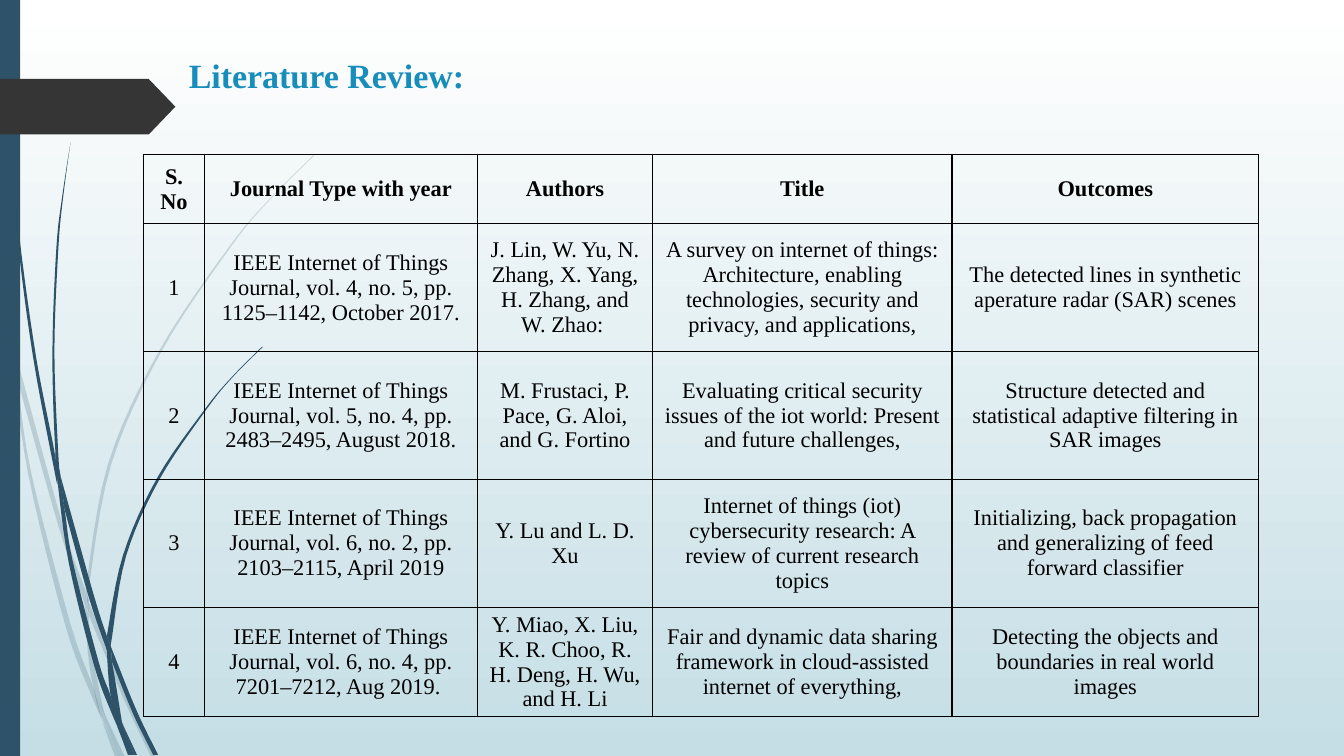
from pptx import Presentation
from pptx.util import Cm, Pt
from pptx.dml.color import RGBColor as RGB
from pptx.enum.shapes import MSO_SHAPE as SHAPE
from pptx.enum.text import MSO_ANCHOR as ANCHOR, PP_ALIGN as ALIGN
from pptx.oxml import parse_xml
from pptx.oxml.ns import nsdecls
from lxml.etree import SubElement

# Content
TITLE = "Literature Review:"
ROWS = [
    ("S. No", "Journal Type with year", "Authors", "Title", "Outcomes"),
    ("1", "IEEE Internet of Things Journal, vol. 4, no. 5, pp. 1125–1142, October 2017.",
     "J. Lin, W. Yu, N. Zhang, X. Yang, H. Zhang, and W. Zhao: ",
     "A survey on internet of things: Architecture, enabling technologies, security and "
     "privacy, and applications,",
     "The detected lines in synthetic aperature radar (SAR) scenes"),
    ("2", "IEEE Internet of Things Journal, vol. 5, no. 4, pp. 2483–2495, August 2018.",
     "M. Frustaci, P. Pace, G. Aloi, and G. Fortino",
     "Evaluating critical security issues of the iot world: Present and future challenges,",
     "Structure detected and statistical adaptive filtering in SAR images"),
    ("3", "IEEE Internet of Things Journal, vol. 6, no. 2, pp. 2103–2115, April 2019",
     "Y. Lu and L. D. Xu",
     "Internet of things (iot) cybersecurity research: A review of current research topics",
     "Initializing, back propagation and generalizing of feed forward classifier"),
    ("4", "IEEE Internet of Things Journal, vol. 6, no. 4, pp. 7201–7212, Aug 2019. ",
     "Y. Miao, X. Liu, K. R. Choo, R. H. Deng, H. Wu, and H. Li",
     "Fair and dynamic data sharing framework in cloud-assisted internet of everything,",
     "Detecting the objects and boundaries in real world images"),
]

# Grass blade pieces: two edges each, in inches, one running out and one running back
PALE_BLADES = [
    ([(.11, 3.5), (.09, 3.22), (0, 2.82)], [(0, 2.99), (.1, 3.44), (.11, 3.5)]),
    ([(.14, 3.45), (.62, 5.2), (.85, 5.86)], [(.84, 5.99), (.58, 5.22), (.17, 3.76)]),
    ([(.88, 5.96), (.92, 6.07), (1.27, 6.92), (1.55, 7.51)],
     [(1.5, 7.51), (1.23, 6.94), (.88, 6.1)]),
    ([(1.05, 7.11), (1.24, 7.51)], [(1.19, 7.51), (1.05, 7.11)]),
    ([(.11, 3.5), (.17, 3.76), (.31, 4.69), (.7, 6.19), (.93, 6.83), (1.01, 7.14)],
     [(.92, 6.93), (.65, 6.21), (.28, 4.7), (.11, 3.5)]),
    ([(.84, 5.99), (.87, 6.46), (.93, 6.83), (1.05, 7.11)],
     [(1.03, 7.06), (.91, 6.46), (.88, 6.1)]),
    ([(3.12, 1.53), (2.68, 1.97), (2.28, 2.44), (1.58, 3.48), (1.07, 4.61), (.85, 5.84)],
     [(.88, 5.96), (.88, 5.84), (1.1, 4.62), (1.6, 3.49), (2.29, 2.45), (2.68, 1.98),
      (3.12, 1.54)]),
    ([(1.01, 7.14), (1.14, 7.51)], [(1.19, 7.51), (1.01, 7.14)]),
    ([(.88, 6.1), (.88, 5.96), (.85, 5.86)], [(.84, 5.99), (.88, 6.08)]),
    ([(.93, 6.83), (.99, 7.07), (1.19, 7.51)], [(1.19, 7.51), (1.05, 7.11), (.96, 6.92)]),
]
DARK_BLADES = [
    ([(.04, 0), (.05, .48), (.08, 1.09), (.19, 2.32), (.36, 3.55), (.55, 4.53), (.57, 4.81)],
     [(.56, 4.77), (.33, 3.55), (.17, 2.33), (.07, 1.1), (.04, .48), (.03, 0)]),
    ([(.6, 4.72), (.93, 5.9), (1.06, 6.31)], [(1.06, 6.45), (.88, 5.92), (.64, 5.05)]),
    ([(1.1, 6.41), (1.13, 6.49), (1.36, 7.06), (1.57, 7.49)],
     [(1.52, 7.49), (1.32, 7.08), (1.11, 6.56)]),
    ([(.57, 4.77), (.64, 5.05), (.72, 5.56), (.98, 6.57), (1.1, 6.91), (1.17, 7.22)],
     [(1.11, 7.08), (.93, 6.59), (.68, 5.57), (.57, 4.77)]),
    ([(.7, 1.41), (.62, 1.93), (.56, 2.45), (.52, 3.49), (.55, 4.49), (.6, 4.72)],
     [(.6, 4.72), (.58, 4.53), (.54, 3.49), (.58, 2.45), (.63, 1.93), (.7, 1.41)]),
    ([(1.22, 7.19), (1.36, 7.49)], [(1.33, 7.49), (1.22, 7.19)]),
    ([(.55, 4.49), (.6, 4.72), (.64, 5.05)], [(.57, 4.77), (.55, 4.53)]),
    ([(2.6, 3.44), (2.31, 3.73), (2.04, 4.05), (1.56, 4.74), (1.22, 5.51), (1.06, 6.31)],
     [(1.1, 6.41), (1.11, 6.33), (1.25, 5.52), (1.58, 4.76), (2.05, 4.06), (2.31, 3.74),
      (2.61, 3.44)]),
    ([(1.17, 7.22), (1.27, 7.49)], [(1.31, 7.49), (1.17, 7.22)]),
    ([(1.06, 6.45), (1.1, 6.91), (1.22, 7.19)], [(1.21, 7.16), (1.11, 6.56), (1.06, 6.45)]),
    ([(1.06, 6.45), (1.11, 6.56)], [(1.1, 6.41), (1.06, 6.31)]),
    ([(1.1, 6.91), (1.17, 7.22), (1.3, 7.49)], [(1.33, 7.49), (1.22, 7.19), (1.1, 6.91)]),
]

# Theme and layout, lengths in centimetres
THEME = dict(font="Times New Roman", title="178DBB", text="000000", blade="2E5369",
             tag="353535", sky=("FFFFFF", "C5DEE5"), title_pt=24.3, cell_pt=16)
SLIDE_W, SLIDE_H = 33.87, 19.05
BAR = (0, 0, 0.51, SLIDE_H)
TAG = (0, 1.99, 4.42, 1.4)
TITLE_BOX = (4.51, 1.24, 9.22, 2.21)
TABLE_AT = (3.62, 3.89)
COLS = (1.53, 6.88, 4.42, 7.54, 7.73)
HEIGHTS = (1.75, 3.22, 3.22, 3.22, 2.49)


def smooth(pts, steps=6):
    """Points of a Catmull-Rom curve through pts."""
    ends = [pts[0], *pts, pts[-1]]
    out = []
    for a, b, c, d in zip(ends, ends[1:], ends[2:], ends[3:]):
        for t in (i / steps for i in range(steps)):
            out.append(tuple(
                (2 * q + (r - p) * t + (2 * p - 5 * q + 4 * r - s) * t ** 2
                 + (3 * q - p - 3 * r + s) * t ** 3) / 2
                for p, q, r, s in zip(a, b, c, d)))
    return out + [pts[-1]]


def paint(s, color, alpha=None):
    s.shadow.inherit = False
    s.fill.solid()
    s.fill.fore_color.rgb = RGB.from_string(color)
    s.line.fill.background()
    if alpha:
        clr = s._element.spPr.find(".//{*}srgbClr")
        SubElement(clr, clr.tag.replace("srgbClr", "alpha"), val=str(alpha * 1000))


def write(tf, text, size, color, bold, align):
    p = tf.paragraphs[0]
    p.alignment = align
    r = p.add_run()
    r.text = text
    fmt = dict(name=THEME["font"], size=Pt(size), bold=bold)
    for key, value in fmt.items():
        setattr(r.font, key, value)
    r.font.color.rgb = RGB.from_string(color)


def add_blade(shapes, edges, alpha):
    out, back = edges
    pts = [(Cm(2.54 * x), Cm(2.54 * y)) for x, y in smooth(out) + smooth(back)]
    fb = shapes.build_freeform(*pts[0], scale=1.0)
    fb.add_line_segments(pts[1:], close=True)
    paint(fb.convert_to_shape(), THEME["blade"], alpha)


def add_borders(cell):
    tcPr = cell._tc.get_or_add_tcPr()
    for i, side in enumerate(("lnL", "lnR", "lnT", "lnB")):
        tcPr.insert(i, parse_xml(
            f'<a:{side} {nsdecls("a")} w="{Pt(1)}"><a:solidFill>'
            f'<a:srgbClr val="{THEME["text"]}"/></a:solidFill></a:{side}>'))


def add_review_table(shapes):
    size = [Cm(sum(COLS)), Cm(sum(HEIGHTS))]
    table = shapes.add_table(len(ROWS), len(COLS), *map(Cm, TABLE_AT), *size).table
    table.first_row = table.horz_banding = False
    for col, width in zip(table.columns, COLS):
        col.width = Cm(width)
    for i, (row, height, texts) in enumerate(zip(table.rows, HEIGHTS, ROWS)):
        row.height = Cm(height)
        for cell, text in zip(row.cells, texts):
            cell.fill.background()
            cell.vertical_anchor = ANCHOR.MIDDLE
            add_borders(cell)
            write(cell.text_frame, text, THEME["cell_pt"], THEME["text"], i == 0, ALIGN.CENTER)


def main():
    prs = Presentation()
    prs.slide_width, prs.slide_height = Cm(SLIDE_W), Cm(SLIDE_H)
    slide = prs.slides.add_slide(prs.slide_layouts[6])
    shapes = slide.shapes

    # Background
    sky = slide.background.fill
    sky.gradient()
    sky.gradient_angle = 270
    for stop, color, pos in zip(sky.gradient_stops, THEME["sky"], (0, 1)):
        stop.color.rgb = RGB.from_string(color)
        stop.position = pos

    # Left decoration
    for blades, alpha in ((PALE_BLADES, 20), (DARK_BLADES, None)):
        for edges in blades:
            add_blade(shapes, edges, alpha)
    paint(shapes.add_shape(SHAPE.RECTANGLE, *map(Cm, BAR)), THEME["blade"])
    tag = shapes.add_shape(SHAPE.PENTAGON, *map(Cm, TAG))
    tag.adjustments[0] = 0.48
    paint(tag, THEME["tag"])

    # Table and title
    add_review_table(shapes)
    tf = shapes.add_textbox(*map(Cm, TITLE_BOX)).text_frame
    tf.word_wrap = True
    write(tf, TITLE, THEME["title_pt"], THEME["title"], True, ALIGN.LEFT)

    prs.save("out.pptx")


if __name__ == "__main__":
    main()
